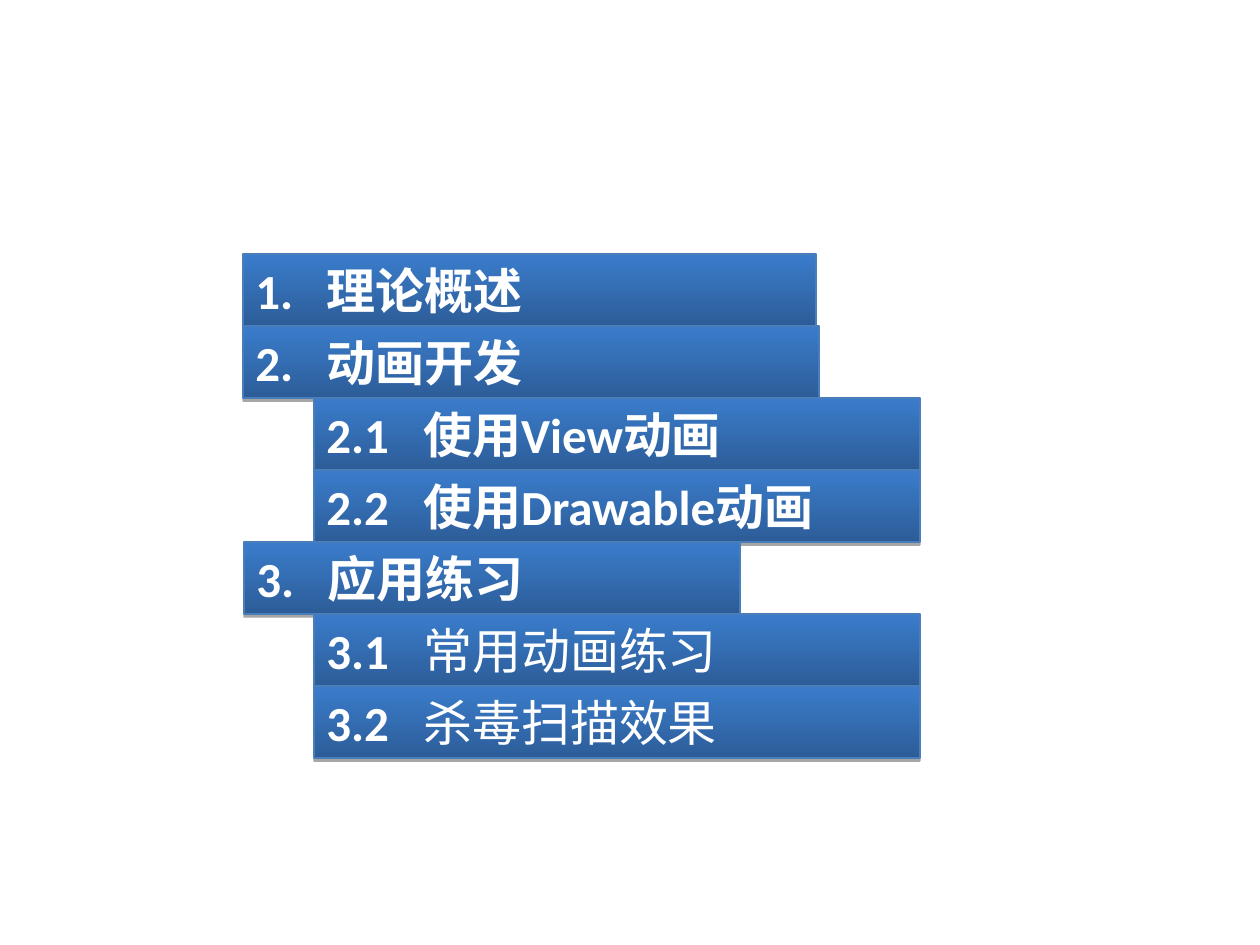
from dataclasses import dataclass

from lxml import etree
from pptx import Presentation
from pptx import util as u
from pptx.dml.color import RGBColor
from pptx.enum import shapes, text
from pptx.oxml.ns import qn

SCALE = 914400 / 126
WHITE = RGBColor(0xFF, 0xFF, 0xFF)
DARK = RGBColor(0x2C, 0x5D, 0x98)
LIGHT = RGBColor(0x3A, 0x7C, 0xCB)
EDGE = RGBColor(0x4A, 0x7E, 0xBB)
BLACK = RGBColor(0, 0, 0)

TOP = 254
ROW = 72
SUB_LEFT = 314
SUB_WIDTH = 606
MAIN_TAB = 71
SUB_TAB = 97


@dataclass
class Bar:
    mark: str
    title: str
    left: int = SUB_LEFT
    width: int = SUB_WIDTH
    tab: int = SUB_TAB
    bold: bool = True


BARS = [
    Bar("1.", "理论概述", 243, 573, MAIN_TAB),
    Bar("2.", "动画开发", 243, 576, MAIN_TAB),
    Bar("2.1", "使用View动画"),
    Bar("2.2", "使用Drawable动画"),
    Bar("3.", "应用练习", 244, 496, MAIN_TAB),
    Bar("3.1", "常用动画练习", bold=False),
    Bar("3.2", "杀毒扫描效果", bold=False),
]


def px(n: int) -> u.Emu:
    return u.Emu(round(n * SCALE))


def add_shade(shape) -> None:
    shape.shadow.inherit = False
    effects = shape._element.spPr.find(qn("a:effectLst"))
    shade = etree.SubElement(effects, qn("a:outerShdw"), blurRad="0",
                             dist=str(u.Pt(1.8)), dir="5400000", rotWithShape="0")
    color = etree.SubElement(shade, qn("a:srgbClr"), val=str(BLACK))
    etree.SubElement(color, qn("a:alpha"), val="35000")


def add_tab(para, stop: int) -> None:
    tabs = etree.SubElement(para._p.get_or_add_pPr(), qn("a:tabLst"))
    etree.SubElement(tabs, qn("a:tab"), pos=str(px(stop)), algn="l")


def add_run(para, words: str, bold: bool) -> None:
    run = para.add_run()
    run.text = words
    run.font.name = "Calibri"
    run.font.size = u.Pt(28)
    run.font.bold = bold
    run.font.color.rgb = WHITE


def add_bar(slide, bar: Bar, top: int) -> None:
    shape = slide.shapes.add_shape(shapes.MSO_SHAPE.RECTANGLE, px(bar.left),
                                   px(top), px(bar.width), px(ROW))
    shape.fill.gradient()
    shape.fill.gradient_angle = 90
    for stop, color in zip(shape.fill.gradient_stops, (DARK, LIGHT)):
        stop.color.rgb = color
    shape.line.color.rgb = EDGE
    shape.line.width = u.Pt(0.75)
    add_shade(shape)

    frame = shape.text_frame
    frame.word_wrap = True
    frame.auto_size = text.MSO_AUTO_SIZE.SHAPE_TO_FIT_TEXT
    frame.vertical_anchor = text.MSO_ANCHOR.TOP
    para = frame.paragraphs[0]
    para.alignment = text.PP_ALIGN.LEFT
    add_tab(para, bar.tab)
    add_run(para, bar.mark + "\t", True)
    add_run(para, bar.title, bar.bold)


def main() -> None:
    deck = Presentation()
    deck.slide_width = px(1260)
    deck.slide_height = px(945)
    slide = deck.slides.add_slide(deck.slide_layouts[6])
    for i, bar in enumerate(BARS):
        add_bar(slide, bar, TOP + i * ROW)
    deck.save("out.pptx")


if __name__ == "__main__":
    main()
